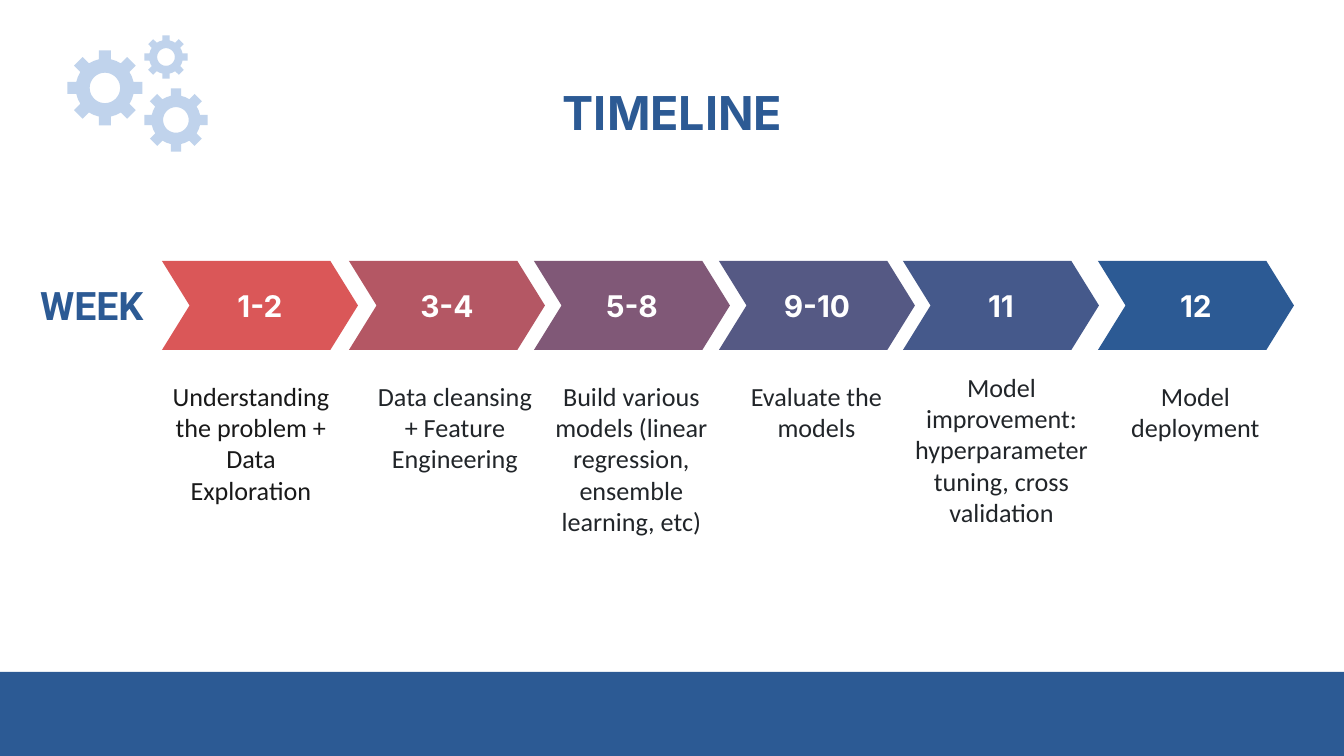
from math import asin, cos, pi, sin

from lxml.etree import SubElement
from pptx import Presentation
from pptx.dml.color import RGBColor
from pptx.enum.shapes import MSO_SHAPE
from pptx.enum.text import MSO_ANCHOR, MSO_AUTO_SIZE, PP_ALIGN
from pptx.oxml.ns import qn
from pptx.util import Emu, Pt

BLUE = RGBColor(0x2C, 0x5A, 0x94)
GEAR_BLUE = RGBColor(0x6E, 0x9B, 0xD3)
WHITE = RGBColor(0xFF, 0xFF, 0xFF)
BLACK = RGBColor(0x19, 0x19, 0x19)
INK = RGBColor(0x21, 0x25, 0x29)

TITLE = "TIMELINE"
ROW_LABEL = "WEEK"
STAGES = [
    dict(week="1-2", fill=RGBColor(0xDA, 0x57, 0x58), left=162,
         text="Understanding the problem + Data Exploration", ink=BLACK,
         box=(153, 367, 196, 85)),
    dict(week="3-4", fill=RGBColor(0xB4, 0x57, 0x64), left=349,
         text="Data cleansing + Feature Engineering", ink=INK,
         box=(357, 367, 196, 161)),
    dict(week="5-8", fill=RGBColor(0x80, 0x58, 0x77), left=534,
         text="Build various models (linear regression, ensemble learning, etc)",
         ink=INK, box=(539, 367, 185, 161)),
    dict(week="9-10", fill=RGBColor(0x55, 0x59, 0x84), left=719,
         text="Evaluate the models", ink=INK, box=(724, 367, 185, 161)),
    dict(week="11", fill=RGBColor(0x45, 0x59, 0x8B), left=903,
         text="Model improvement: hyperparameter tuning, cross validation",
         ink=INK, box=(884, 358, 235, 161)),
    dict(week="12", fill=BLUE, left=1098,
         text="Model deployment", ink=INK, box=(1103, 367, 185, 161)),
]
GEARS = [(105, 88, 38), (166, 57, 22), (176, 120, 32)]

TEETH = 8
BODY, HOLE, TOOTH = 0.77, 0.4, 0.16
GEAR_ALPHA = 43


def px(n):
    return Emu(round(n * 914400 / 134.4))


def place(sp, box):
    sp.left, sp.top, sp.width, sp.height = map(px, box)


def write(sp, text, font, size, color, bold=False,
          align=PP_ALIGN.CENTER, anchor=MSO_ANCHOR.TOP):
    tf = sp.text_frame
    tf.text = text
    tf.word_wrap = True
    tf.auto_size = MSO_AUTO_SIZE.NONE
    tf.vertical_anchor = anchor
    tf.margin_left = tf.margin_right = tf.margin_top = tf.margin_bottom = px(13)
    p = tf.paragraphs[0]
    p.alignment = align
    f = p.runs[0].font
    f.name, f.size, f.bold = font, Pt(size), bold
    f.color.rgb = color


def paint(sp, color):
    sp.shadow.inherit = False
    sp.fill.solid()
    sp.fill.fore_color.rgb = color
    sp.line.fill.background()


def add_text(s, box, *args, **kwargs):
    write(s.shapes.add_textbox(*map(px, box)), *args, **kwargs)


def add_gear(s, cx, cy, radius):
    def point(r, angle):
        return px(cx + radius * r * cos(angle)), px(cy + radius * r * sin(angle))

    step = 2 * pi / TEETH
    base, tip = asin(TOOTH / BODY), asin(TOOTH)
    rim = []
    for i in range(TEETH):
        a = i * step
        rim += [point(BODY, a - base), point(1, a - tip), point(1, a + tip),
                point(BODY, a + base), point(BODY, a + step / 2)]
    hole = [point(HOLE, -i * pi / 24) for i in range(48)]

    fb = s.shapes.build_freeform(*rim[0])
    fb.add_line_segments(rim[1:], close=True)
    fb.move_to(*hole[0])
    fb.add_line_segments(hole[1:], close=True)
    sp = fb.convert_to_shape()
    paint(sp, GEAR_BLUE)
    clr = sp.fill._xPr.find(qn("a:solidFill"))[0]
    SubElement(clr, qn("a:alpha"), val=str(GEAR_ALPHA * 1000))


prs = Presentation()
prs.slide_width, prs.slide_height = px(1344), px(756)
s = prs.slides.add_slide(prs.slide_layouts[5])

footer = s.shapes.add_shape(MSO_SHAPE.RECTANGLE, *map(px, (0, 672, 1344, 84)))
paint(footer, BLUE)
for gear in GEARS:
    add_gear(s, *gear)

place(s.shapes.title, (106, 69, 1133, 85))
write(s.shapes.title, TITLE, "Inter", 25, BLUE, bold=True,
      anchor=MSO_ANCHOR.MIDDLE)
add_text(s, (27, 262, 175, 85), ROW_LABEL, "Roboto", 21, BLUE, bold=True,
         align=PP_ALIGN.LEFT, anchor=MSO_ANCHOR.MIDDLE)

for stage in STAGES:
    sp = s.shapes.add_shape(MSO_SHAPE.CHEVRON,
                            *map(px, (stage["left"], 261, 196, 89)))
    sp.adjustments[0] = 0.31
    paint(sp, stage["fill"])
    write(sp, stage["week"], "Inter", 16, WHITE, bold=True,
          anchor=MSO_ANCHOR.MIDDLE)
    add_text(s, stage["box"], stage["text"], "Calibri", 14, stage["ink"])

prs.save("out.pptx")
